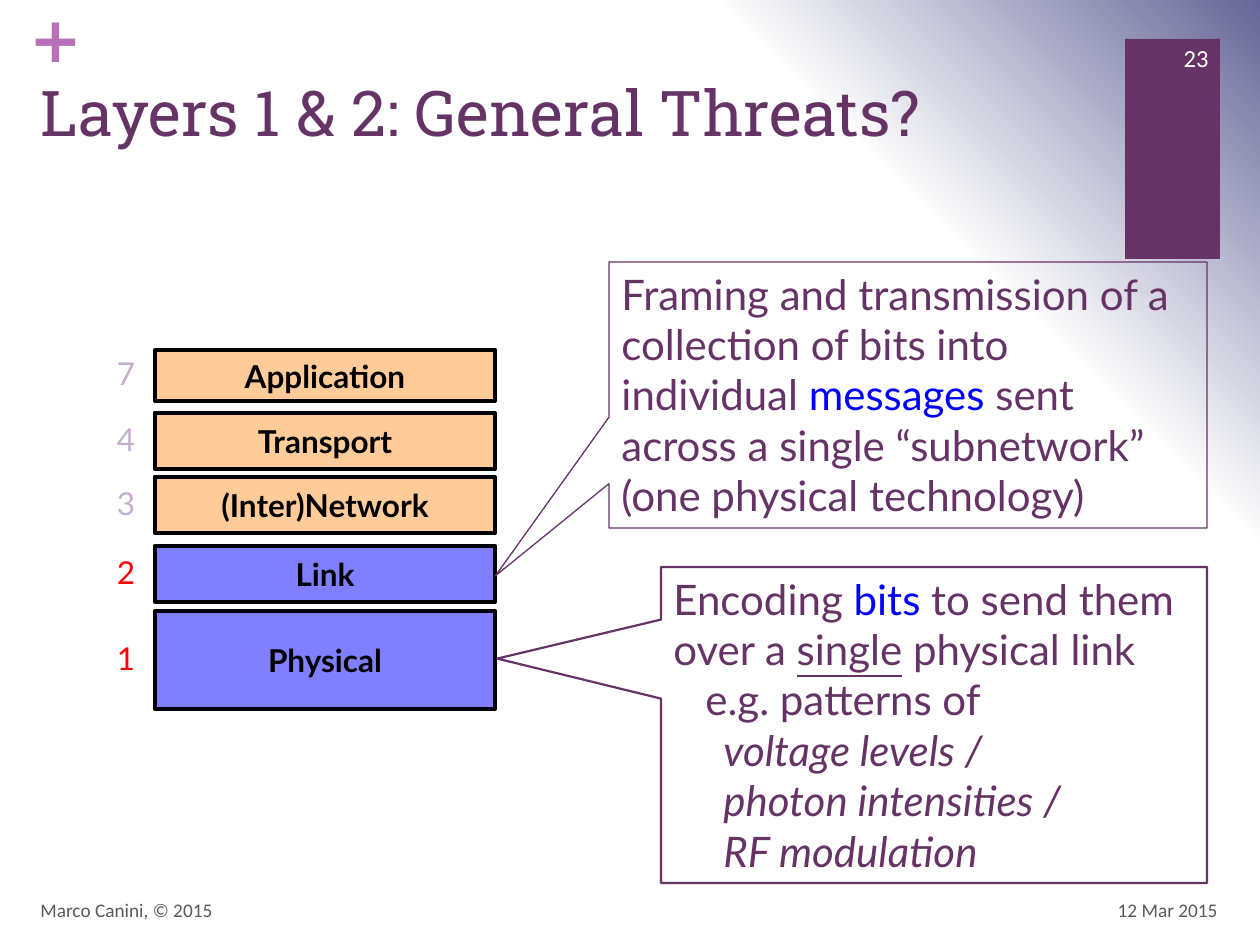
"""Build the slide on general threats at network layers 1 and 2."""
from dataclasses import dataclass, field

import lxml.etree
import pptx
import pptx.dml.color
import pptx.enum.shapes
import pptx.enum.text
import pptx.oxml
import pptx.util

EMU_PER_PX = 914400 / 126
DRAWING_NS = "http://schemas.openxmlformats.org/drawingml/2006/main"
PRESENTATION_NS = "http://schemas.openxmlformats.org/presentationml/2006/main"
PLUM, BLUE, BLACK, RED = "663366", "0000FF", "000000", "FF0000"
PEACH, LILAC, GRAY, WHITE = "FFCC99", "C3AFCC", "595959", "FFFFFF"
SHAPES = pptx.enum.shapes.MSO_SHAPE
ALIGN = pptx.enum.text.PP_ALIGN
ANCHOR = pptx.enum.text.MSO_ANCHOR
BODY = {"name": "Lato", "size": pptx.util.Pt(24)}
LAYER_NAME = {"name": "Lato", "size": pptx.util.Pt(18), "bold": True}
LAYER_NUMBER = {"name": "Lato", "size": pptx.util.Pt(18)}
FOOTER = {"name": "Calibri", "size": pptx.util.Pt(11)}
PAGE_NUMBER = {"name": "Calibri", "size": pptx.util.Pt(14)}
TITLE = {"name": "Roboto Slab", "size": pptx.util.Pt(36)}
PLUS = {"name": "DejaVu Sans", "size": pptx.util.Pt(36), "bold": True}
BACKGROUND = f"""<p:bg xmlns:p="{PRESENTATION_NS}" xmlns:a="{DRAWING_NS}"><p:bgPr>
<a:gradFill rotWithShape="0"><a:gsLst>
<a:gs pos="0"><a:srgbClr val="FFFFFF"/></a:gs>
<a:gs pos="75000"><a:srgbClr val="FFFFFF"/></a:gs>
<a:gs pos="100000"><a:srgbClr val="666699"/></a:gs></a:gsLst>
<a:path path="circle"><a:fillToRect t="100000" r="100000"/></a:path>
</a:gradFill><a:effectLst/></p:bgPr></p:bg>"""


@dataclass(frozen=True)
class Box:
    """Position and size in px."""
    left: int
    top: int
    width: int
    height: int


@dataclass(frozen=True)
class Span:
    """Words that share one format."""
    text: str
    color: str = PLUM
    style: dict = field(default_factory=dict)


@dataclass(frozen=True)
class Line:
    """A paragraph of spans with its left indent in px."""
    spans: list
    indent: int = 0


@dataclass(frozen=True)
class Layer:
    """One layer of the network stack."""
    number: str
    name: str
    top: int
    height: int
    threatened: bool = False


@dataclass(frozen=True)
class Callout:
    """A note whose tail points at a layer."""
    box: Box
    tail: tuple
    line_width: float
    lines: list


@dataclass(frozen=True)
class Label:
    """A free-standing line of text."""
    text: str
    box: Box
    color: str
    style: dict
    layout: dict = field(default_factory=dict)
    align: ALIGN = ALIGN.LEFT


LAYERS = [
    Layer("7", "Application", 350, 51),
    Layer("4", "Transport", 413, 56),
    Layer("3", "(Inter)Network", 477, 56),
    Layer("2", "Link", 546, 56, True),
    Layer("1", "Physical", 611, 98, True),
]
CALLOUTS = [
    Callout(Box(661, 567, 546, 316), (-0.8, -0.21), 1.25, [
        Line([Span("Encoding "), Span("bits", BLUE), Span(" to send them over a "),
              Span("single", style={"underline": True}), Span(" physical link")]),
        Line([Span("e.g. patterns of")], 32),
        *(Line([Span(example, style={"italic": True})], 50)
          for example in ("voltage levels /", "photon intensities /", "RF modulation")),
    ]),
    Callout(Box(609, 262, 598, 266), (-0.69, 0.68), 0.75, [
        Line([Span("Framing and transmission of a collection of bits into individual "),
              Span("messages", BLUE),
              Span(" sent across a single “subnetwork” (one physical technology)")]),
    ]),
]
MIDDLE = {"vertical_anchor": ANCHOR.MIDDLE}
NO_INSETS = dict.fromkeys(
    ("margin_left", "margin_top", "margin_right", "margin_bottom"), 0)
LABELS = [
    Label("+", Box(30, 0, 37, 77), "B870B8", PLUS, {**NO_INSETS, "word_wrap": False}),
    Label("Layers 1 & 2: General Threats?", Box(28, 67, 1082, 154), PLUM, TITLE),
    Label("12 Mar 2015", Box(936, 885, 294, 50), GRAY, FOOTER, MIDDLE, ALIGN.RIGHT),
    Label("Marco Canini, © 2015", Box(28, 885, 844, 50), GRAY, FOOTER, MIDDLE),
    Label("23", Box(1144, 33, 77, 50), WHITE, PAGE_NUMBER, MIDDLE, ALIGN.RIGHT),
]


def px(length: int) -> int:
    """Turn px into EMU."""
    return round(length * EMU_PER_PX)


def place(box: Box) -> tuple:
    """Give the EMU position and size of a box."""
    return px(box.left), px(box.top), px(box.width), px(box.height)


def rgb(value: str) -> pptx.dml.color.RGBColor:
    """Turn a hex string into a colour."""
    return pptx.dml.color.RGBColor.from_string(value)


def apply(target, values: dict) -> None:
    """Set each named attribute on the target."""
    for name, value in values.items():
        setattr(target, name, value)


def write(shape, lines: list, style: dict, layout: dict, align=ALIGN.LEFT) -> None:
    """Fill a shape with formatted paragraphs."""
    frame = shape.text_frame
    apply(frame, {"word_wrap": True, **layout})
    for index, line in enumerate(lines):
        paragraph = frame.add_paragraph() if index else frame.paragraphs[0]
        paragraph.alignment = align
        if line.indent:
            paragraph._p.get_or_add_pPr().set("marL", str(px(line.indent)))
        for span in line.spans:
            run = paragraph.add_run()
            run.text = span.text
            apply(run.font, {**style, **span.style})
            run.font.color.rgb = rgb(span.color)


def add_panel(slide, kind, box: Box, fill="", outline="", line_width=0.0, alpha=100):
    """Add a preset shape with the given fill and outline."""
    panel = slide.shapes.add_shape(kind, *place(box))
    panel.shadow.inherit = False
    if fill:
        panel.fill.solid()
        panel.fill.fore_color.rgb = rgb(fill)
        if alpha < 100:
            color = panel._element.spPr.find(f".//{{{DRAWING_NS}}}srgbClr")
            lxml.etree.SubElement(color, f"{{{DRAWING_NS}}}alpha", val=str(alpha * 1000))
    else:
        panel.fill.background()
    if outline:
        panel.line.color.rgb = rgb(outline)
        panel.line.width = pptx.util.Pt(line_width)
    else:
        panel.line.fill.background()
    return panel


def add_label(slide, label: Label) -> None:
    """Add a text box."""
    text_box = slide.shapes.add_textbox(*place(label.box))
    write(text_box, [Line([Span(label.text, label.color)])],
          label.style, label.layout, label.align)


def add_layer(slide, layer: Layer) -> None:
    """Add a layer bar with its number beside it."""
    fill, alpha, number_color = (BLUE, 50, RED) if layer.threatened else (PEACH, 100, LILAC)
    bar = add_panel(slide, SHAPES.RECTANGLE, Box(155, layer.top, 340, layer.height),
                    fill, BLACK, 2.5, alpha)
    write(bar, [Line([Span(layer.name, BLACK)])], LAYER_NAME, MIDDLE, ALIGN.CENTER)
    number_box = Box(110, layer.top + layer.height // 2 - 27, 32, 50)
    layout = {"margin_left": 0, "margin_right": 0, "word_wrap": False}
    add_label(slide, Label(layer.number, number_box, number_color,
                           LAYER_NUMBER, layout, ALIGN.CENTER))


def add_callout(slide, callout: Callout) -> None:
    """Add a callout with its tail and text."""
    note = add_panel(slide, SHAPES.RECTANGULAR_CALLOUT, callout.box,
                     outline=PLUM, line_width=callout.line_width)
    note.adjustments[0], note.adjustments[1] = callout.tail
    write(note, callout.lines, BODY, {"vertical_anchor": ANCHOR.TOP})


def main() -> None:
    """Build and save the slide."""
    deck = pptx.Presentation()
    apply(deck, {"slide_width": px(1260), "slide_height": px(945)})
    slide = deck.slides.add_slide(deck.slide_layouts[6])
    slide._element.cSld.insert(0, pptx.oxml.parse_xml(BACKGROUND))
    add_panel(slide, SHAPES.RECTANGLE, Box(1125, 39, 95, 220), PLUM)
    for layer in LAYERS:
        add_layer(slide, layer)
    for callout in CALLOUTS:
        add_callout(slide, callout)
    for label in LABELS:
        add_label(slide, label)
    deck.save("out.pptx")


if __name__ == "__main__":
    main()
